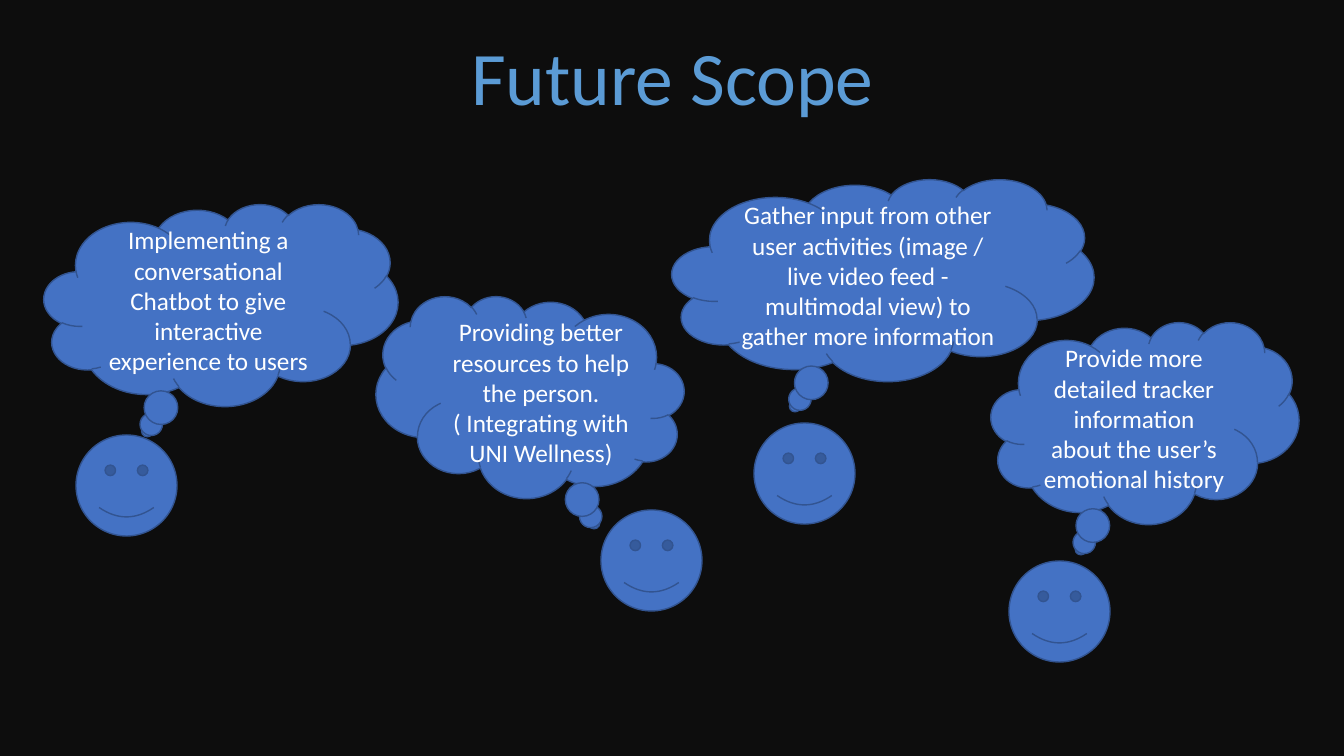
from pptx import Presentation
from pptx.dml.color import RGBColor
from pptx.enum.shapes import MSO_SHAPE
from pptx.enum.text import MSO_ANCHOR, MSO_AUTO_SIZE, PP_ALIGN
from pptx.util import Emu, Pt

BLACK = RGBColor(0x0D, 0x0D, 0x0D)
BLUE = RGBColor(0x44, 0x72, 0xC4)
EDGE = RGBColor(0x32, 0x54, 0x91)
SKY = RGBColor(0x5B, 0x9B, 0xD5)
WHITE = RGBColor(0xFF, 0xFF, 0xFF)

SCALE = 914400 / 100.8
TALL = 202
FACE = 101

# cloud left, top, width; tail to the right; face left, top; idea
IDEAS = [
    (44, 204, 354, False, 76, 435,
     "Implementing a conversational Chatbot to give interactive experience to users"),
    (376, 296, 308, True, 601, 510,
     "Providing better resources to help the person. ( Integrating with UNI Wellness)"),
    (672, 179, 422, False, 754, 423,
     "Gather input from other user activities (image / live video feed - "
     "multimodal view) to gather more information"),
    (991, 322, 308, False, 1009, 561,
     "Provide more detailed tracker information about the user’s emotional history"),
]


def px(count):
    return Emu(round(count * SCALE))


class Board:
    font = "Calibri"

    def __init__(self, deck):
        self.slide = deck.slides.add_slide(deck.slide_layouts[5])
        fill = self.slide.background.fill
        fill.solid()
        fill.fore_color.rgb = BLACK

    def label(self, shape, text, size, color):
        frame = shape.text_frame
        frame.text = text
        frame.vertical_anchor = MSO_ANCHOR.MIDDLE
        line = frame.paragraphs[0]
        line.alignment = PP_ALIGN.CENTER
        font = line.runs[0].font
        font.name = self.font
        font.size = Pt(size)
        font.color.rgb = color

    def title(self, text, left, top, width, height):
        shape = self.slide.shapes.title
        shape.left, shape.top = px(left), px(top)
        shape.width, shape.height = px(width), px(height)
        self.label(shape, text, 54, SKY)
        shape.text_frame.word_wrap = False
        shape.text_frame.auto_size = MSO_AUTO_SIZE.SHAPE_TO_FIT_TEXT

    def shape(self, kind, left, top, width, height):
        shape = self.slide.shapes.add_shape(
            kind, px(left), px(top), px(width), px(height))
        shape.shadow.inherit = False
        shape.fill.solid()
        shape.fill.fore_color.rgb = BLUE
        shape.line.color.rgb = EDGE
        shape.line.width = Pt(1)
        return shape

    def cloud(self, text, left, top, width, flip):
        shape = self.shape(MSO_SHAPE.CLOUD_CALLOUT, left, top, width, TALL)
        if flip:
            shape.element.spPr.xfrm.set("flipH", "1")
        self.label(shape, text, 18, WHITE)
        shape.text_frame.word_wrap = True

    def face(self, left, top):
        self.shape(MSO_SHAPE.SMILEY_FACE, left, top, FACE, FACE)


def main():
    deck = Presentation()
    deck.slide_width, deck.slide_height = px(1344), px(756)
    board = Board(deck)
    board.title("Future Scope", 459, 24, 427, 102)
    for left, top, width, flip, _, _, text in IDEAS:
        board.cloud(text, left, top, width, flip)
    for _, _, _, _, left, top, _ in IDEAS:
        board.face(left, top)
    deck.save("out.pptx")


if __name__ == "__main__":
    main()
